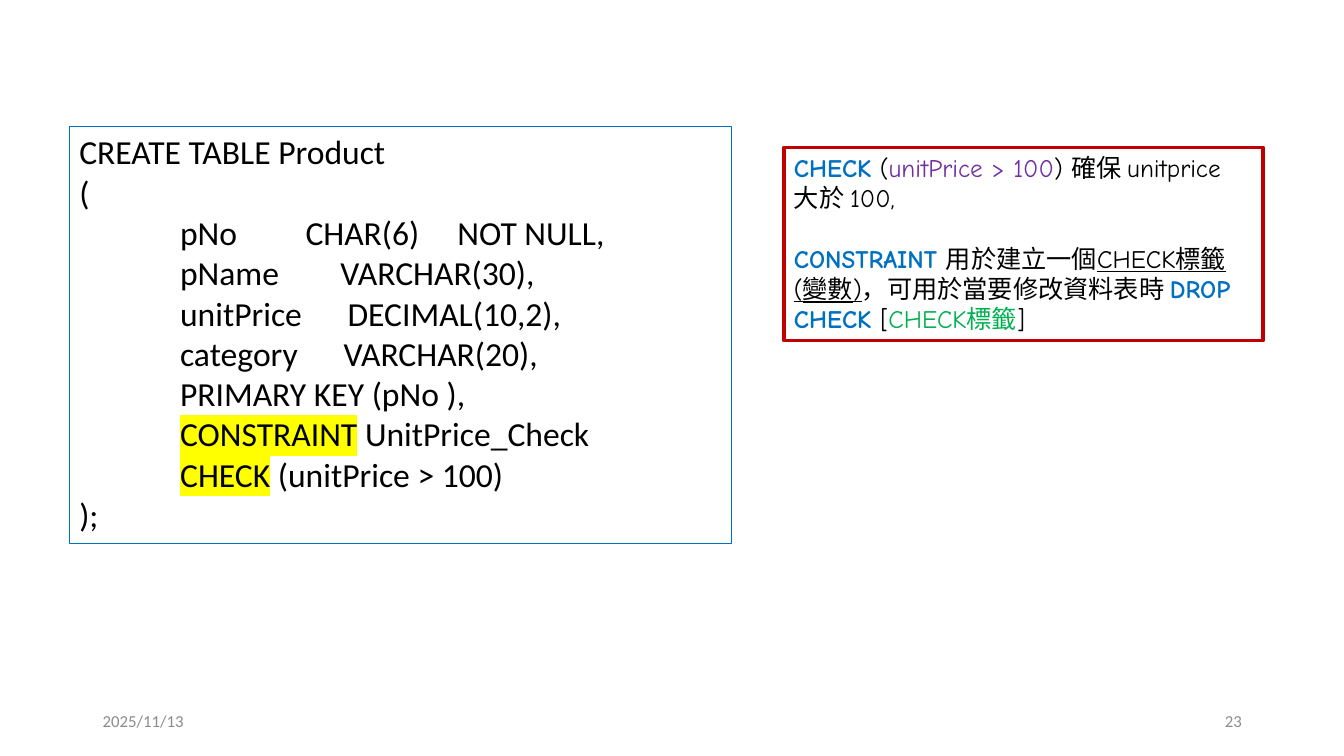
from lxml import etree
from pptx import Presentation
from pptx.dml.color import RGBColor
from pptx.enum.shapes import MSO_SHAPE
from pptx.enum.text import MSO_ANCHOR, MSO_AUTO_SIZE, PP_ALIGN
from pptx.oxml.ns import qn
from pptx.util import Cm, Pt

RECTANGLE = MSO_SHAPE.RECTANGLE
TOP, MIDDLE = MSO_ANCHOR.TOP, MSO_ANCHOR.MIDDLE
LEFT, RIGHT = PP_ALIGN.LEFT, PP_ALIGN.RIGHT
FIT_SHAPE = MSO_AUTO_SIZE.SHAPE_TO_FIT_TEXT

BLACK, BLUE, RED = "000000", "0070C0", "C00000"
PURPLE, GREEN, GREY, YELLOW = "7030A0", "00B050", "8C8C8C", "FFFF00"
CODE_INDENT = 2.54

# Each code line: its spans and its tab stops in cm
CODE_LINES = [
    (["CREATE TABLE Product"], []),
    (["("], []),
    (["\tpNo\tCHAR(6)\tNOT NULL,"], [5.7, 9.53]),
    (["\tpName\tVARCHAR(30),"], [6.58]),
    (["\tunitPrice\tDECIMAL(10,2),"], [6.76]),
    (["\tcategory\tVARCHAR(20),"], [6.66]),
    (["\tPRIMARY KEY (pNo ),"], []),
    (["\t", ("CONSTRAINT", {"highlight": YELLOW}), " UnitPrice_Check"], []),
    (["\t", ("CHECK", {"highlight": YELLOW}), " (unitPrice > 100)"], []),
    ([");"], []),
]

KEYWORD = {"color": BLUE, "bold": True}
NOTE_LINES = [
    [("CHECK", KEYWORD), " (", ("unitPrice > 100", {"color": PURPLE}),
     ") 確保 unitprice 大於 100,"],
    [("CONSTRAINT ", KEYWORD), "用於建立一個",
     ("CHECK標籤(變數)", {"underline": True}), "，可用於當要修改資料表時 ",
     ("DROP CHECK ", KEYWORD), "[", ("CHECK標籤", {"color": GREEN}), "]"],
]


def rgb(value):
    return RGBColor.from_string(value)


class SlideBuilder:
    def __init__(self, page):
        self.page = page

    def frame(self, left, top, width, height, line, weight):
        box = self.page.shapes.add_shape(
            RECTANGLE, Cm(left), Cm(top), Cm(width), Cm(height))
        box.shadow.inherit = False
        box.fill.background()
        box.line.color.rgb = rgb(line)
        box.line.width = Pt(weight)
        box.text_frame.word_wrap = True
        box.text_frame.auto_size = FIT_SHAPE
        box.text_frame.vertical_anchor = TOP
        return box

    def paragraph(self, box, index, spans, font, size, color=BLACK, align=LEFT):
        text_frame = box.text_frame
        para = text_frame.add_paragraph() if index else text_frame.paragraphs[0]
        para.alignment = align
        for item in spans:
            text, style = (item, {}) if isinstance(item, str) else item
            span = para.add_run()
            span.text = text
            span.font.name = font
            span.font.size = Pt(size)
            span.font.color.rgb = rgb(style.get("color", color))
            span.font.bold = style.get("bold", False)
            span.font.underline = style.get("underline", False)
            if "highlight" in style:
                self.highlight(span, style["highlight"])
        return para

    def highlight(self, span, color):
        fill = span.font.fill._xPr.find(qn("a:solidFill"))
        mark = etree.Element(qn("a:highlight"))
        etree.SubElement(mark, qn("a:srgbClr"), val=color)
        fill.addnext(mark)

    def tab_stops(self, para, stops):
        tabs = etree.SubElement(para._p.get_or_add_pPr(), qn("a:tabLst"))
        for stop in stops:
            etree.SubElement(tabs, qn("a:tab"), pos=str(Cm(stop)), algn="l")

    def footer(self, left, text, align):
        box = self.page.shapes.add_textbox(
            Cm(left), Cm(17.65), Cm(7.62), Cm(1.01))
        box.text_frame.word_wrap = True
        box.text_frame.vertical_anchor = MIDDLE
        self.paragraph(box, 0, [text], "Calibri", 12, GREY, align)


def main():
    deck = Presentation()
    deck.slide_width, deck.slide_height = Cm(33.87), Cm(19.05)
    builder = SlideBuilder(deck.slides.add_slide(deck.slide_layouts[6]))

    # SQL statement
    code_box = builder.frame(1.75, 3.18, 16.69, 10.52, BLUE, 0.75)
    for index, (spans, stops) in enumerate(CODE_LINES):
        para = builder.paragraph(code_box, index, spans, "Calibri", 24)
        builder.tab_stops(para, [CODE_INDENT] + stops)

    # Explanation
    note_box = builder.frame(19.76, 3.71, 12.07, 4.88, RED, 2.25)
    for index, spans in enumerate(NOTE_LINES):
        para = builder.paragraph(note_box, index, spans, "Comic Neue", 18)
        para.space_before = Pt(21.6 * index)

    # Date and page number
    builder.footer(2.34, "2025/11/13", LEFT)
    builder.footer(23.93, "23", RIGHT)

    deck.save("out.pptx")


if __name__ == "__main__":
    main()
